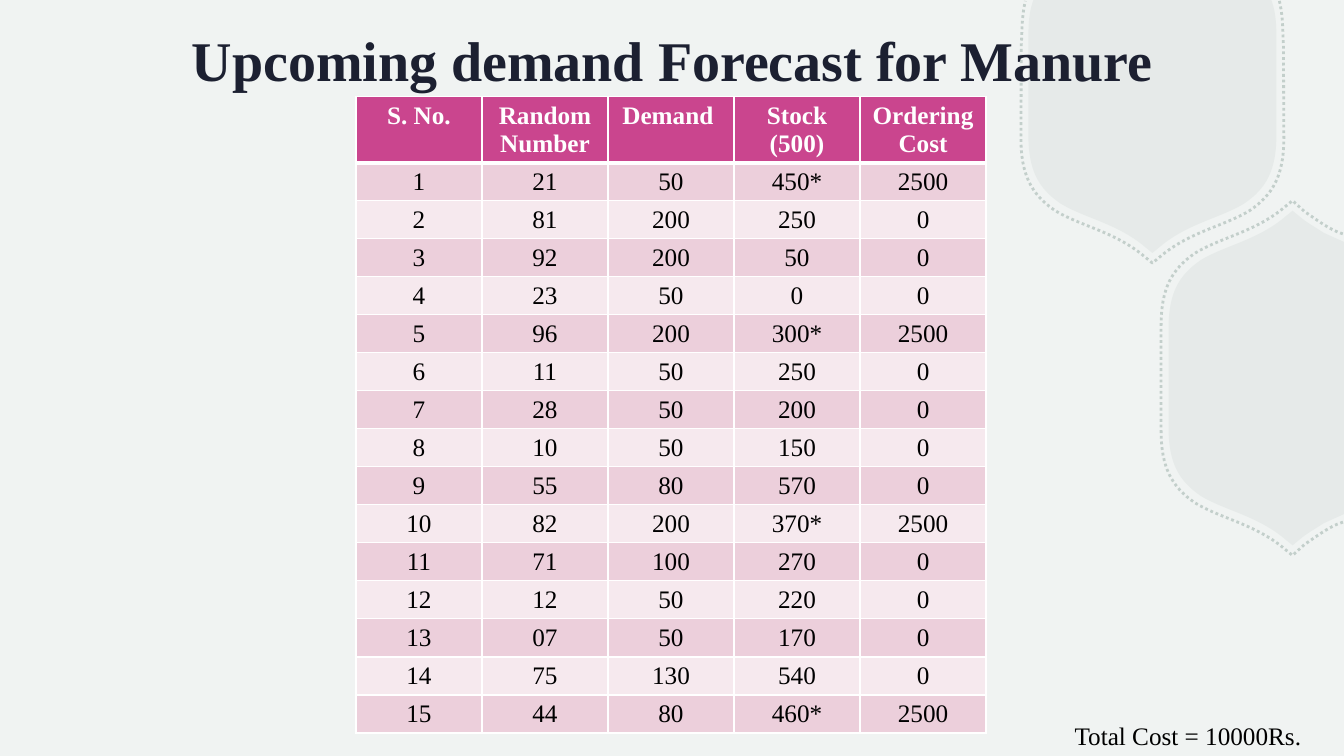
"""Build the manure demand forecast slide."""
from lxml.etree import Element, SubElement
from pptx import Presentation
from pptx.dml.color import RGBColor
from pptx.enum.dml import MSO_LINE
from pptx.enum.text import MSO_ANCHOR, PP_ALIGN
from pptx.oxml.ns import qn
from pptx.util import Inches, Pt

WIDTH, HEIGHT = 13.33, 7.5
FONT = "Times New Roman"
TITLE = "Upcoming demand Forecast for Manure"
TOTAL = "Total Cost = 10000Rs."
HEADER = ["S. No.", "Random Number", "Demand ", "Stock\n(500)", "Ordering Cost"]
FORECAST = [
    ("21", "50", "450*", "2500"),
    ("81", "200", "250", "0"),
    ("92", "200", "50", "0"),
    ("23", "50", "0", "0"),
    ("96", "200", "300*", "2500"),
    ("11", "50", "250", "0"),
    ("28", "50", "200", "0"),
    ("10", "50", "150", "0"),
    ("55", "80", "570", "0"),
    ("82", "200", "370*", "2500"),
    ("71", "100", "270", "0"),
    ("12", "50", "220", "0"),
    ("07", "50", "170", "0"),
    ("75", "130", "540", "0"),
    ("44", "80", "460*", "2500"),
]
BACKGROUND, INK, BLACK, WHITE = "F0F3F2", "1C2031", "000000", "FFFFFF"
HEADER_FILL, BAND_FILLS, SAGE = "CA458E", ("ECCFDB", "F6E9EE"), "ADBDB8"

TABLE_LEFT, TABLE_TOP = 3.53, 0.96
COLUMN_WIDTH, HEADER_HEIGHT, ROW_HEIGHT = 1.25, 0.65, 0.37

UNITS_PER_INCH = 1000
DOTTED_SCALE = 1.06
LINE, CURVE = 1, 3
QUARTER = [(1.23, 0.49), (1.23, 0.84), (1.13, 1.02), (0.91, 1.17),
           (0.68, 1.31), (0.38, 1.36), (0.11, 1.57), (0, 1.66)]
QUARTER_STEPS = [CURVE, CURVE, LINE]
TOP_CENTRE, SIDE_CENTRE = (11.43, 0.85), (12.82, 3.75)
TOP_ENDS = {
    False: ([(1.18, -0.85), (1.19, -0.82), (1.22, -0.73), (1.23, -0.62), (1.23, -0.49)],
            [LINE, CURVE]),
    True: ([(1.26, -0.84), (1.3, -0.66), (1.29, -0.55), (1.3, -0.41)], [CURVE]),
}
SIDE_ENDS = {
    False: ([(0.51, 1.35), (0.31, 1.44), (0.25, 1.48), (0.18, 1.52), (0.11, 1.57)],
            [LINE, CURVE]),
    True: ([(0.5, 1.43), (0.36, 1.47), (0.2, 1.6), (0.12, 1.65)], [CURVE]),
}


def colour(hex_code):
    return RGBColor.from_string(hex_code)


def write(frame, text, size=18, hex_code=BLACK, bold=False, align=PP_ALIGN.CENTER):
    for index, line in enumerate(text.split("\n")):
        paragraph = frame.add_paragraph() if index else frame.paragraphs[0]
        paragraph.alignment = align
        run = paragraph.add_run()
        run.text = line
        font = run.font
        font.name, font.size, font.bold = FONT, Pt(size), bold
        font.color.rgb = colour(hex_code)


def set_sage(fill_format, parent, percent):
    fill_format.solid()
    fill_format.fore_color.rgb = colour(SAGE)
    rgb = parent.find(qn("a:solidFill") + "/" + qn("a:srgbClr"))
    SubElement(rgb, qn("a:alpha"), val=str(percent * 1000))


def hexagon_outline(dotted, at_side):
    """Return points and steps of a hexagon cut by the top or the right edge."""
    scale = DOTTED_SCALE if dotted else 1
    quarter = [(scale * x, scale * y) for x, y in QUARTER]
    if at_side:
        ends, end_steps = SIDE_ENDS[dotted]
        half = ends + [(-x, y) for x, y in reversed(quarter)]
        steps = end_steps + [LINE] + QUARTER_STEPS[::-1]
        mirrored = [(x, -y) for x, y in reversed(half)]
        return half + mirrored, steps + [LINE] + steps[::-1]
    ends, end_steps = TOP_ENDS[dotted]
    half = ends + quarter
    steps = end_steps + [LINE] + QUARTER_STEPS
    mirrored = [(-x, y) for x, y in reversed(half[:-1])]
    return half + mirrored, steps + steps[::-1]


def bend(shape, steps):
    """Join each run of three line segments marked as a curve into one Bezier."""
    segments = iter(list(shape._element.iter(qn("a:lnTo"))))
    for step in steps:
        group = [next(segments) for _ in range(step)]
        if step == CURVE:
            curve = Element(qn("a:cubicBezTo"))
            group[0].addprevious(curve)
            for segment in group:
                curve.append(segment[0])
                segment.getparent().remove(segment)


def add_hexagon(slide, centre, dotted):
    offsets, steps = hexagon_outline(dotted, centre == SIDE_CENTRE)
    points = [(UNITS_PER_INCH * (centre[0] + x), UNITS_PER_INCH * (centre[1] + y))
              for x, y in offsets]
    builder = slide.shapes.build_freeform(*points[0], scale=Inches(1) / UNITS_PER_INCH)
    builder.add_line_segments(points[1:], close=not dotted)
    shape = builder.convert_to_shape()
    bend(shape, steps)
    shape.shadow.inherit = False
    if dotted:
        shape.fill.background()
        shape.line.width = Pt(2)
        set_sage(shape.line.fill, shape._element.spPr.find(qn("a:ln")), 65)
        shape.line.dash_style = MSO_LINE.ROUND_DOT
    else:
        shape.line.fill.background()
        set_sage(shape.fill, shape._element.spPr, 15)


def add_borders(cell, bottom):
    properties = cell._tc.get_or_add_tcPr()
    widths = {"a:lnL": 1, "a:lnR": 1, "a:lnT": 1, "a:lnB": bottom}
    for position, (tag, width) in enumerate(widths.items()):
        border = SubElement(properties, qn(tag), w=str(Pt(width)))
        SubElement(SubElement(border, qn("a:solidFill")), qn("a:srgbClr"), val=WHITE)
        properties.insert(position, border)


def add_forecast_table(slide):
    rows = [HEADER] + [(str(number), *row) for number, row in enumerate(FORECAST, 1)]
    heights = [HEADER_HEIGHT] + [ROW_HEIGHT] * len(FORECAST)
    table = slide.shapes.add_table(
        len(rows), len(HEADER), Inches(TABLE_LEFT), Inches(TABLE_TOP),
        Inches(COLUMN_WIDTH * len(HEADER)), Inches(sum(heights))).table
    for column in table.columns:
        column.width = Inches(COLUMN_WIDTH)
    for r, values in enumerate(rows):
        table.rows[r].height = Inches(heights[r])
        for c, value in enumerate(values):
            cell = table.cell(r, c)
            cell.fill.solid()
            cell.fill.fore_color.rgb = colour(BAND_FILLS[(r - 1) % 2] if r else HEADER_FILL)
            write(cell.text_frame, value, hex_code=BLACK if r else WHITE, bold=r == 0)
            add_borders(cell, bottom=1 if r else 3)


def main():
    presentation = Presentation()
    presentation.slide_width, presentation.slide_height = Inches(WIDTH), Inches(HEIGHT)
    slide = presentation.slides.add_slide(presentation.slide_layouts[5])
    slide.background.fill.solid()
    slide.background.fill.fore_color.rgb = colour(BACKGROUND)

    for dotted in (False, True):
        for centre in (TOP_CENTRE, SIDE_CENTRE):
            add_hexagon(slide, centre, dotted)

    title = slide.shapes.title
    title.left, title.top = Inches(1.7), Inches(0.01)
    title.width, title.height = Inches(9.93), Inches(1.16)
    title.text_frame.vertical_anchor = MSO_ANCHOR.MIDDLE
    write(title.text_frame, TITLE, size=40, hex_code=INK, bold=True)
    slide.shapes._spTree.append(title._element)

    add_forecast_table(slide)

    total = slide.shapes.add_textbox(Inches(10.56), Inches(7.1), Inches(2.77), Inches(0.4))
    total.text_frame.word_wrap = True
    write(total.text_frame, TOTAL, align=PP_ALIGN.LEFT)
    presentation.save("out.pptx")


if __name__ == "__main__":
    main()
